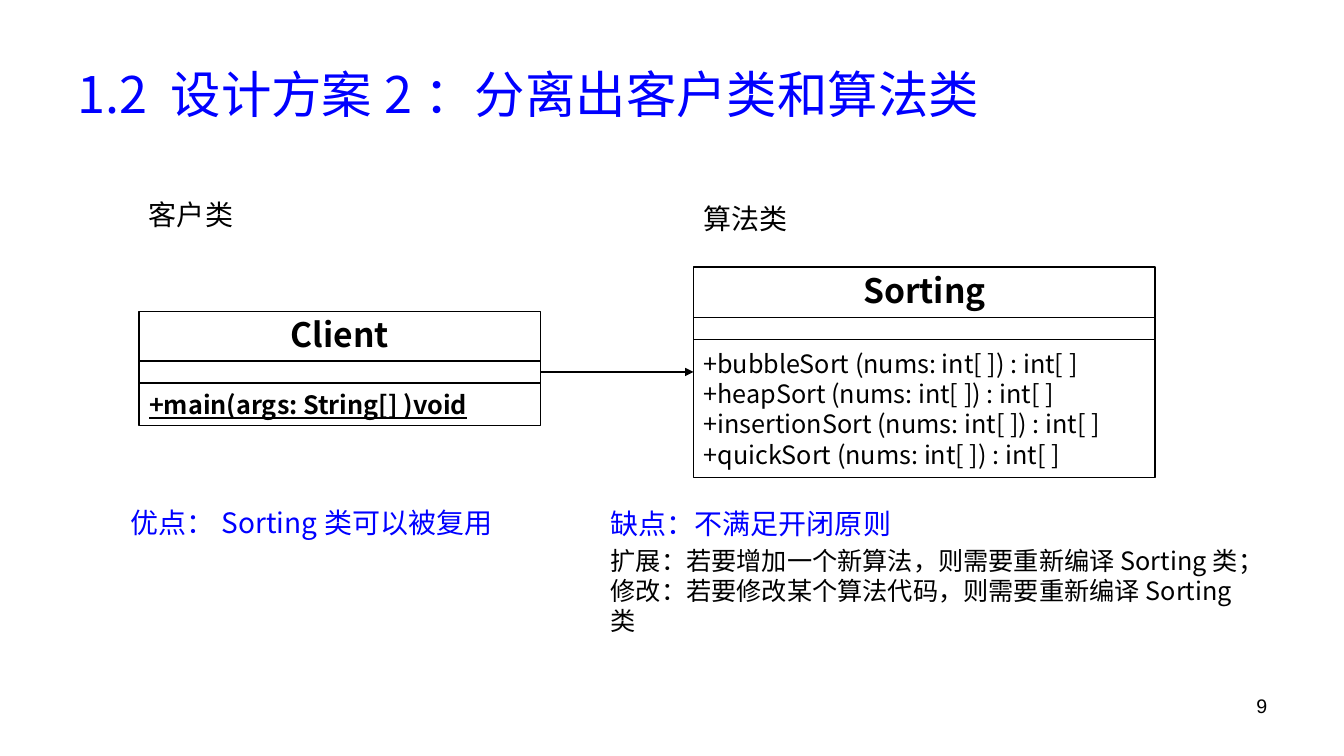
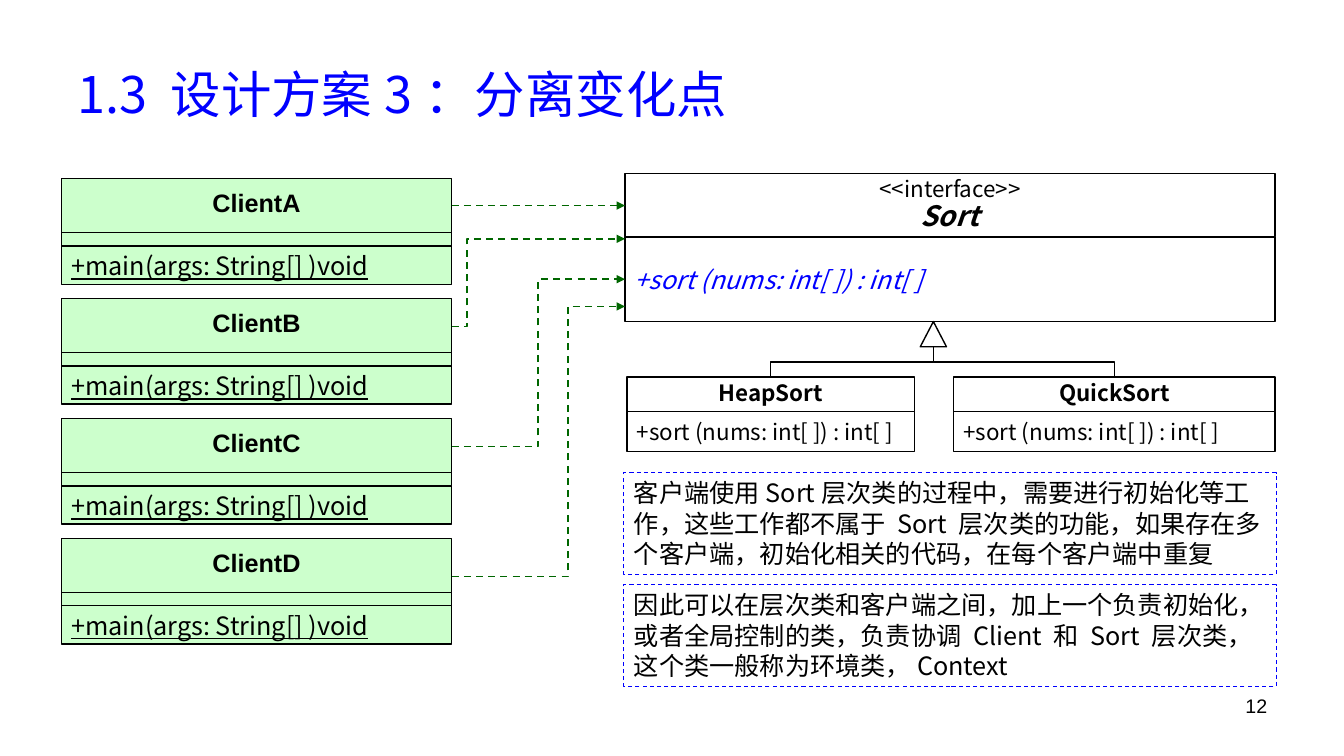
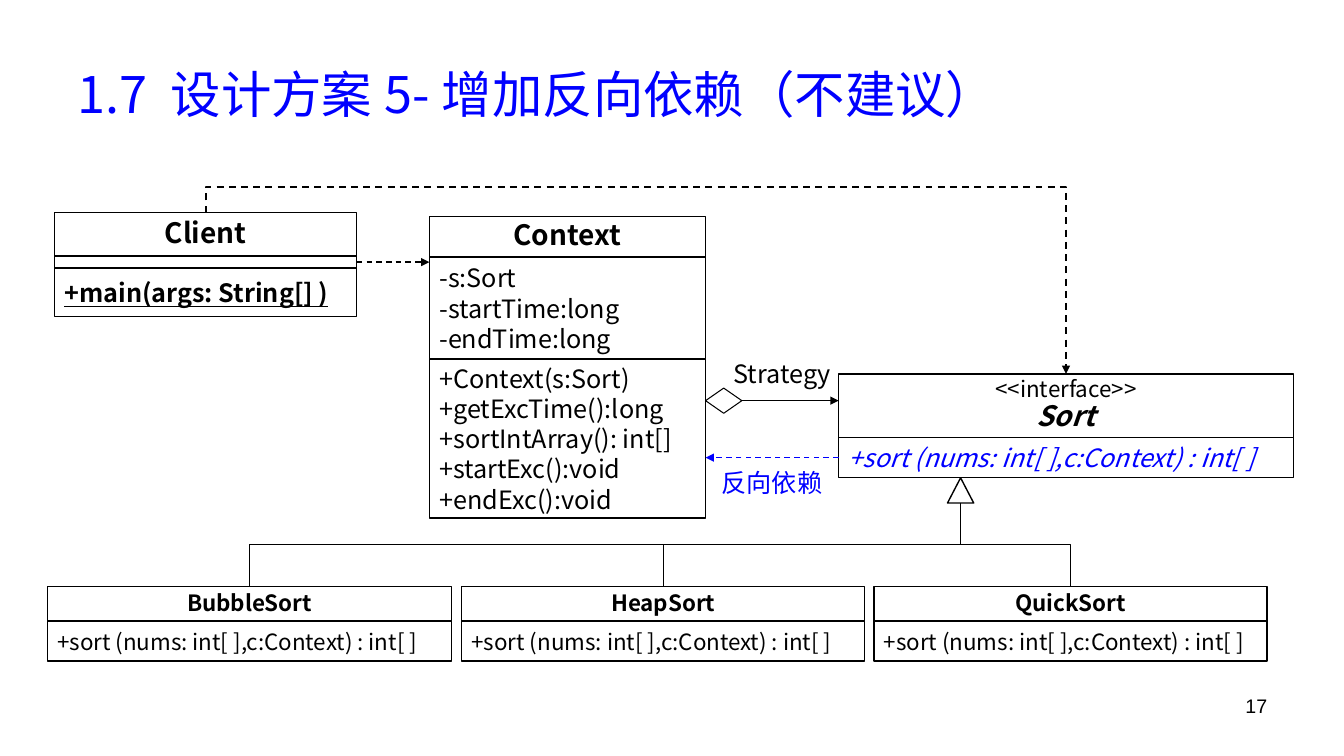
from dataclasses import dataclass

from lxml import etree
from pptx import Presentation
from pptx import util as u
from pptx.dml.color import RGBColor
from pptx.enum import dml, shapes, text
from pptx.oxml.ns import qn

# Lengths are in cells of a square grid, ten cells to the inch.
CELL = u.Inches(0.1)
COLUMNS, ROWS = 133.33, 75
COLORS = {"ink": "000000", "accent": "0000FF", "paper": "FFFFFF",
          "client": "CCFFCC", "dependency": "006600"}
CJK, LATIN = "Noto Sans CJK SC", "Arial"


@dataclass
class Style:
    size: int
    color: str = "ink"
    font: str = CJK
    bold: bool = False
    italic: bool = False
    underline: bool = False
    align: str = "LEFT"
    spacing: float = 1.0


STYLES = {
    "title": Style(36, "accent"),
    "number": Style(14, font=LATIN, align="RIGHT"),
    "label": Style(20),
    "verdict": Style(20, "accent"),
    "body": Style(18),
    "reverse": Style(18, "accent"),
    "class large": Style(24, bold=True, align="CENTER", spacing=0.9),
    "class": Style(20, bold=True, align="CENTER", spacing=0.9),
    "class small": Style(16, bold=True, align="CENTER", spacing=0.9),
    "class client": Style(18, font=LATIN, bold=True, align="CENTER", spacing=0.8),
    "stereotype": Style(16, align="CENTER", spacing=0.9),
    "interface": Style(20, bold=True, italic=True, align="CENTER", spacing=0.9),
    "member": Style(18),
    "member small": Style(16),
    "abstract": Style(18, "accent", italic=True),
    "static": Style(18, underline=True),
    "static bold": Style(18, bold=True, underline=True),
}


@dataclass
class Box:
    left: float
    top: float
    width: float
    height: float

    @property
    def right(self):
        return self.left + self.width

    @property
    def bottom(self):
        return self.top + self.height

    @property
    def center(self):
        return self.left + self.width / 2

    @property
    def middle(self):
        return self.top + self.height / 2

    def emu(self):
        return cells(self.left, self.top, self.width, self.height)


TITLE = Box(6.7, 3, 120, 12.5)
NUMBER = Box(95.6, 68.3, 31.1, 5.2)


def cells(*lengths):
    return [round(length * CELL) for length in lengths]


def color(name):
    return RGBColor.from_string(COLORS[name])


def lines(style, *texts):
    return [(line, style) for line in texts]


def write(shape, content, anchor="TOP"):
    """Fill a shape with (text, style name) paragraphs."""
    frame = shape.text_frame
    frame.word_wrap = True
    frame.vertical_anchor = getattr(text.MSO_ANCHOR, anchor)
    for index, (line, name) in enumerate(content):
        style = STYLES[name]
        paragraph = frame.add_paragraph() if index else frame.paragraphs[0]
        paragraph.text = line
        paragraph.alignment = getattr(text.PP_ALIGN, style.align)
        paragraph.line_spacing = style.spacing
        font = paragraph.font
        font.size, font.name = u.Pt(style.size), style.font
        font.bold, font.italic, font.underline = style.bold, style.italic, style.underline
        font.color.rgb = color(style.color)
        etree.SubElement(font._element, qn("a:ea"), typeface=style.font)


def add_text(slide, box, style, content, anchor="TOP"):
    write(slide.shapes.add_textbox(*box.emu()), lines(style, content), anchor)


def add_outline(slide, kind, box, fill=None, line="ink", weight=1.0):
    shape = slide.shapes.add_shape(kind, *box.emu())
    shape.shadow.inherit = False
    if fill:
        shape.fill.solid()
        shape.fill.fore_color.rgb = color(fill)
    else:
        shape.fill.background()
    shape.line.color.rgb = color(line)
    shape.line.width = u.Pt(weight)
    return shape


def add_class(slide, left, top, width, rows, fill="paper"):
    """Stack the (height, paragraphs) compartments of a class; return its box."""
    y = top
    for height, content in rows:
        part = add_outline(slide, shapes.MSO_SHAPE.RECTANGLE,
                           Box(left, y, width, height), fill)
        write(part, content, "MIDDLE")
        y += height
    return Box(left, top, width, y - top)


def add_interface(slide, left, top, width, height, method):
    heading = lines("stereotype", "<<interface>>") + lines("interface", "Sort")
    return add_class(slide, left, top, width,
                     [(6.3, heading), (height, lines("abstract", method))])


def add_sorter(slide, left, top, width, name, method):
    return add_class(slide, left, top, width,
                     [(3.4, lines("class small", name)),
                      (4, lines("member small", method))])


def add_note(slide, box, content):
    note = add_outline(slide, shapes.MSO_SHAPE.RECTANGLE, box, line="accent", weight=0.75)
    note.line.dash_style = dml.MSO_LINE.DASH
    write(note, lines("body", content))


def add_link(slide, start, end, line="ink", weight=1.0, dashed=False, arrow=True,
             bend=None, upright=False):
    """Join two points; bend is the share of the way where an elbow turns,
    and an upright elbow leaves and arrives vertically."""
    (x1, y1), (x2, y2) = start, end
    turn = None
    if upright:
        dx, dy = x2 - x1, y2 - y1
        turn, sign = (90, 1) if dx * dy < 0 else (270, -1)
        mid_x, mid_y = (x1 + x2) / 2, (y1 + y2) / 2
        x1, y1 = mid_x - sign * dy / 2, mid_y + sign * dx / 2
        x2, y2 = mid_x + sign * dy / 2, mid_y - sign * dx / 2
    kind = shapes.MSO_CONNECTOR.STRAIGHT if bend is None else shapes.MSO_CONNECTOR.ELBOW
    link = slide.shapes.add_connector(kind, *cells(x1, y1, x2, y2))
    link.line.color.rgb = color(line)
    link.line.width = u.Pt(weight)
    if dashed:
        link.line.dash_style = dml.MSO_LINE.DASH
    properties = link._element.spPr
    if turn:
        properties.find(qn("a:xfrm")).set("rot", str(turn * 60000))
    if bend is not None:
        guides = properties.find(qn("a:prstGeom")).get_or_add_avLst()
        etree.SubElement(guides, qn("a:gd"), name="adj1", fmla=f"val {round(bend * 100000)}")
    if arrow:
        etree.SubElement(properties.find(qn("a:ln")), qn("a:tailEnd"), type="triangle")
    etree.SubElement(properties, qn("a:effectLst"))


def add_inheritance(slide, parent, x, children):
    """Hang the children from a hollow triangle under the parent at column x."""
    head = Box(x - 1.3, parent.bottom, 2.6, 2.5)
    add_outline(slide, shapes.MSO_SHAPE.ISOSCELES_TRIANGLE, head, "paper")
    for child in children:
        add_link(slide, (child.center, child.top), (x, head.bottom),
                 arrow=False, bend=0.5, upright=True)


def add_slide(presentation, title, number):
    slide = presentation.slides.add_slide(presentation.slide_layouts[6])
    add_text(slide, TITLE, "title", title, "MIDDLE")
    add_text(slide, NUMBER, "number", str(number))
    return slide


def build_separate_classes(presentation):
    slide = add_slide(presentation, "1.2 设计方案2：分离出客户类和算法类", 9)
    sorting = add_class(slide, 68.8, 26.5, 45.8, [
        (5, lines("class large", "Sorting")),
        (2.2, []),
        (13.7, lines("member",
                     "+bubbleSort (nums: int[ ]) : int[ ]",
                     "+heapSort (nums: int[ ]) : int[ ]",
                     "+insertionSort (nums: int[ ]) : int[ ]",
                     "+quickSort (nums: int[ ]) : int[ ]"))])
    client = add_class(slide, 13.8, 30.9, 39.8, [
        (4.9, lines("class large", "Client")),
        (2.2, []),
        (4.2, lines("static bold", "+main(args: String[] )void"))])
    y = client.top + 6
    add_link(slide, (client.right, y), (sorting.left, y))
    for left, top, width, style, content in [
            (client.left, 19.1, 20, "label", "客户类"),
            (sorting.left, 19.5, 20, "label", "算法类"),
            (12, 49.7, 48.3, "verdict", "优点：Sorting类可以被复用"),
            (59.6, 49.8, 48.3, "verdict", "缺点：不满足开闭原则")]:
        add_text(slide, Box(left, top, width, 4.4), style, content)
    add_text(slide, Box(59.6, 53.6, 66.2, 7.1), "body",
             "扩展：若要增加一个新算法，则需要重新编译Sorting类；"
             "修改：若要修改某个算法代码，则需要重新编译Sorting类")


def build_separate_changes(presentation):
    slide = add_slide(presentation, "1.3 设计方案3：分离变化点", 12)
    method = "+sort (nums: int[ ]) : int[ ]"
    interface = add_interface(slide, 62, 17.2, 64.5, 8.4, method)
    sorters = [add_sorter(slide, left, 37.4, width, name, method)
               for left, width, name in [(62.2, 28.5, "HeapSort"),
                                         (94.6, 31.9, "QuickSort")]]
    add_inheritance(slide, interface, 92.6, sorters)

    # Client letter, exit row below the client's top, arrival row, elbow share
    clients = [("A", 2.7, 20.4, None), ("B", 2.8, 23.7, 0.09),
               ("C", 2.8, 27.7, 0.5), ("D", 3.8, 30.4, 0.67)]
    for index, (letter, departure, arrival, bend) in enumerate(clients):
        client = add_class(slide, 6.1, 17.7 + index * 11.9, 38.7, [
            (5.4, lines("class client", "Client" + letter)),
            (1.3, []),
            (3.8, lines("static", "+main(args: String[] )void"))], "client")
        add_link(slide, (client.right, client.top + departure), (interface.left, arrival),
                 "dependency", 1.25, dashed=True, bend=bend)

    notes = [
        "客户端使用Sort层次类的过程中，需要进行初始化等工作，这些工作都不属于 Sort "
        "层次类的功能，如果存在多个客户端，初始化相关的代码，在每个客户端中重复",
        "因此可以在层次类和客户端之间，加上一个负责初始化，或者全局控制的类，"
        "负责协调 Client 和 Sort 层次类，这个类一般称为环境类，Context"]
    for index, note in enumerate(notes):
        add_note(slide, Box(61.9, 46.9 + index * 11.1, 64.7, 10.1), note)


def build_reverse_dependency(presentation):
    slide = add_slide(presentation, "1.7 设计方案5-增加反向依赖（不建议）", 17)
    method = "+sort (nums: int[ ],c:Context) : int[ ]"
    sorters = [add_sorter(slide, left, 58.2, width, name, method)
               for left, width, name in [(4.7, 40.1, "BubbleSort"),
                                         (45.8, 40, "HeapSort"),
                                         (86.7, 39, "QuickSort")]]
    interface = add_interface(slide, 83.2, 37.1, 45.1, 4, method)
    add_inheritance(slide, interface, 95.3, sorters)
    client = add_class(slide, 5.4, 21.1, 30, [
        (4.3, lines("class", "Client")),
        (1.2, []),
        (4.8, lines("static bold", "+main(args: String[] )"))])
    context = add_class(slide, 42.6, 21.5, 27.4, [
        (4, lines("class", "Context")),
        (10.1, lines("member", "-s:Sort", "-startTime:long", "-endTime:long")),
        (15.8, lines("member", "+Context(s:Sort)", "+getExcTime():long",
                     "+sortIntArray(): int[]", "+startExc():void", "+endExc():void"))])

    y = client.top + 4.9
    add_link(slide, (client.right, y), (context.left, y), dashed=True)
    add_link(slide, (client.center, client.top), (interface.center, interface.top),
             weight=1.25, dashed=True, bend=-0.16, upright=True)

    diamond = Box(context.right, 38.5, 3.6, 2.5)
    add_outline(slide, shapes.MSO_SHAPE.FLOWCHART_DECISION, diamond, weight=0.75)
    add_link(slide, (diamond.right, diamond.middle), (interface.left, diamond.middle))
    add_text(slide, Box(71.8, 35.1, 13, 4), "body", "Strategy")

    add_link(slide, (interface.left, 45.4), (context.right, 45.4), "accent", dashed=True)
    add_text(slide, Box(70.6, 45.9, 13, 4), "reverse", "反向依赖")


def main():
    presentation = Presentation()
    presentation.slide_width, presentation.slide_height = cells(COLUMNS, ROWS)
    build_separate_classes(presentation)
    build_separate_changes(presentation)
    build_reverse_dependency(presentation)
    presentation.save("out.pptx")


if __name__ == "__main__":
    main()
